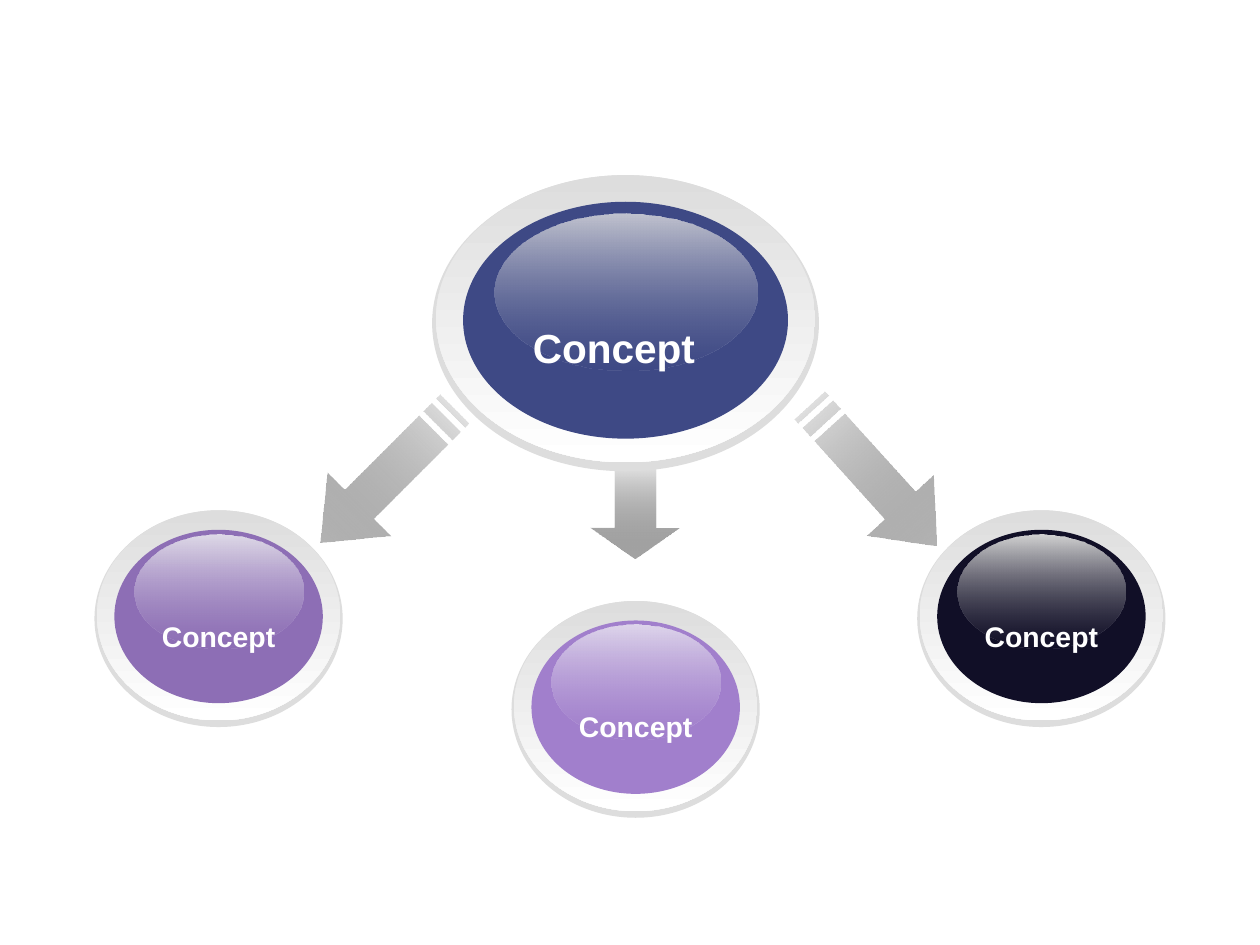
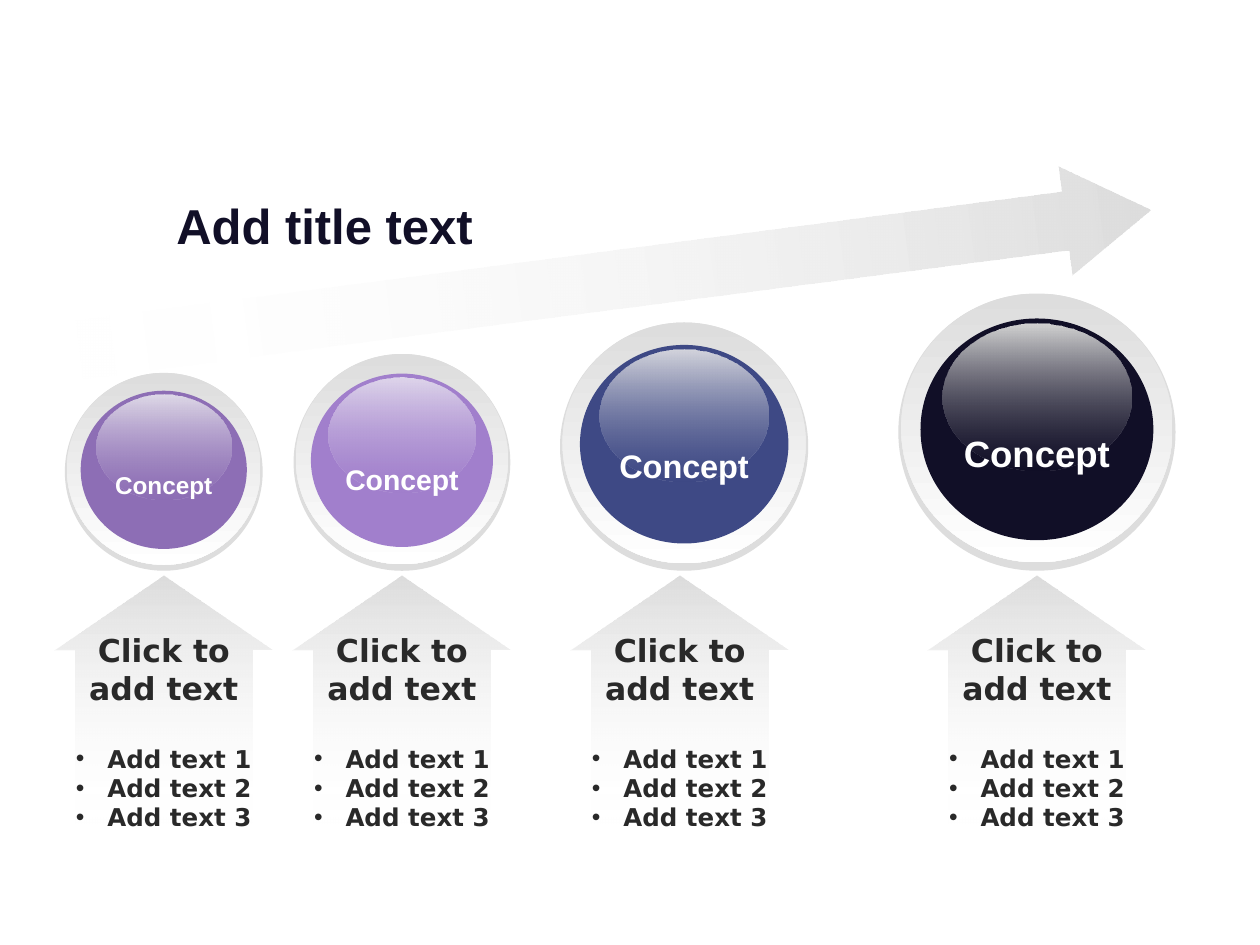
import pptx
import pptx.util
from pptx.dml.color import RGBColor
from pptx.enum.shapes import MSO_SHAPE
from pptx.enum.text import MSO_ANCHOR, MSO_AUTO_SIZE, PP_ALIGN
from pptx.oxml.ns import qn
from lxml import etree

COLORS = {
    "white": "FFFFFF", "rim": "DDDDDD", "text": "292929",
    "purple": "8D6EB5", "purple_gloss": "DFDAE8",
    "lilac": "A17FCC", "lilac_gloss": "DED5EB",
    "navy": "3E4985", "navy_gloss": "D4D5DD", "navy_deep_gloss": "C1C3CF",
    "ink": "110F27", "ink_gloss": "D3D3D3",
}
# The slide is a grid of 100 columns by 75 rows of square cells.
CELL = pptx.util.Inches(0.1)
LABEL_FONT, LIST_FONT = "Arial", "DejaVu Sans"
LAYOUT_COMPARISON, LAYOUT_BLANK = 4, 6
BALL_BOTTOM = 45.3


def cells(*counts):
    return [round(n * CELL) for n in counts]


def rgb(name):
    return RGBColor.from_string(COLORS[name])


def style(sp, fill):
    """Fill with a colour name, or with (start, end, angle, opacities)."""
    sp.shadow.inherit = False
    sp.line.fill.background()
    if isinstance(fill, str):
        sp.fill.solid()
        sp.fill.fore_color.rgb = rgb(fill)
        return
    start, end, angle, opacities = fill
    sp.fill.gradient()
    sp.fill.gradient_angle = angle
    for stop, position, name in zip(sp.fill.gradient_stops, (0, 1), (start, end)):
        stop.position = position
        stop.color.rgb = rgb(name)
    for color, opacity in zip(sp.element.iter(qn("a:srgbClr")), opacities):
        if opacity < 100:
            etree.SubElement(color, qn("a:alpha"), val=str(opacity * 1000))


def write(p, text, size, color, font=LABEL_FONT, align=PP_ALIGN.CENTER,
          baseline=0, before=0, bullet=None):
    p.alignment = align
    p.space_before = pptx.util.Pt(before)
    pPr = p._p.get_or_add_pPr()
    indent = pptx.util.Inches(0.25) if bullet else 0
    pPr.set("marL", str(indent))
    pPr.set("indent", str(-indent))
    if bullet:
        etree.SubElement(pPr, qn("a:buChar"), char=bullet)
    else:
        etree.SubElement(pPr, qn("a:buNone"))
    r = p.add_run()
    r.text = text
    r.font.name, r.font.size, r.font.bold = font, pptx.util.Pt(size), True
    r.font.color.rgb = rgb(color)
    if baseline:
        r._r.get_or_add_rPr().set("baseline", str(baseline * 1000))


def add_ball(s, x, y, w, h, color, size, gloss=None, gloss_top=0.11, label_shift=0):
    """Glossy ball in a pale rim; its layers are shares of the outer box."""
    gloss = (gloss or color) + "_gloss"
    layers = [
        (0, 0, 1, 1, "rim"),
        (0.01, 0, 0.98, 0.97, ("rim", "white", 270, (100, 100))),
        (0.08, 0.09, 0.84, 0.8, color),
        (0.16, gloss_top, 0.68, 0.53, (gloss, color, 270, (100, 37))),
    ]
    for left, top, width, height, fill in layers:
        box = cells(x + left * w, y + top * h, width * w, height * h)
        style(s.shapes.add_shape(MSO_SHAPE.OVAL, *box), fill)
    tf = s.shapes.add_textbox(
        *cells(x + label_shift * w, y + 0.32 * h, w, 0.25 * h)).text_frame
    tf.word_wrap = True
    write(tf.paragraphs[0], "Concept", size, "white", baseline=-25)


def add_striped_arrow(s, x, y, w, h, rotation, fill, head=0.29, shaft=0.46):
    """Right arrow with two stripes at its tail, turned about its centre.

    head is a share of the length, shaft a share of the height.
    """
    top, bottom, neck = (1 - shaft) / 2, (1 + shaft) / 2, 1 - head
    outlines = [
        [(neck, 0), (neck, top), (5 / 32, top), (5 / 32, bottom),
         (neck, bottom), (neck, 1), (1, 0.5)],
    ]
    for start, end in ((2 / 32, 4 / 32), (0, 1 / 32)):
        outlines.append([(start, top), (start, bottom), (end, bottom), (end, top)])
    builder = None
    for outline in outlines:
        first, *rest = [cells(x + u * w, y + v * h) for u, v in outline]
        if builder is None:
            builder = s.shapes.build_freeform(*first, scale=1.0)
        else:
            builder.move_to(*first)
        builder.add_line_segments(rest, close=True)
    sp = builder.convert_to_shape()
    sp.rotation = rotation
    style(sp, fill)


def place(s, holder, *box):
    """Move a placeholder to the front and to its box; return its text frame."""
    s.shapes.element.append(holder.element)
    holder.left, holder.top, holder.width, holder.height = cells(*box)
    tf = holder.text_frame
    tf.word_wrap = True
    tf.auto_size = MSO_AUTO_SIZE.NONE
    tf.vertical_anchor = MSO_ANCHOR.TOP
    return tf


def fill_list(tf):
    write(tf.paragraphs[0], "Click to add text", 18, "text", font=LIST_FONT)
    for n in range(1, 4):
        write(tf.add_paragraph(), f"Add text {n}", 14, "text", font=LIST_FONT,
              before=21 if n == 1 else 0, bullet="•")


def build_hub_slide(prs):
    s = prs.slides.add_slide(prs.slide_layouts[LAYOUT_BLANK])
    grey = ("white", "text", 0, (100, 42))
    for x, y, length, rotation in ((23.2, 34.2, 15, 135), (61.8, 34.2, 15, 47.8),
                                   (46.1, 36.5, 8.6, 90)):
        add_striped_arrow(s, x, y, length, 7.1, rotation, grey)
    add_ball(s, 34.3, 13.9, 30.7, 23.5, "navy", 40, gloss="navy_deep",
             gloss_top=0.13, label_shift=-0.03)
    for x, y, color in ((7.5, 40.5, "purple"), (72.8, 40.5, "ink"),
                        (40.6, 47.7, "lilac")):
        add_ball(s, x, y, 19.7, 17.2, color, 28)


def build_growth_slide(prs):
    s = prs.slides.add_slide(prs.slide_layouts[LAYOUT_COMPARISON])
    title, *lists = list(s.placeholders)
    fade = ("white", "rim", 0, (0, 100))
    # colour, ball centre, arrow centre, ball diameter, label size
    steps = [
        ("purple", 13, 13, 15.7, 24),
        ("lilac", 31.9, 31.9, 17.2, 28),
        ("navy", 54.3, 53.95, 19.7, 32),
        ("ink", 82.3, 82.3, 22, 36),
    ]
    length, breadth = 19.7, 17.3
    add_striped_arrow(s, 5.9, 17.8, 85.8, 8.7, 352.6, fade, head=0.08, shaft=0.54)
    for holder, (color, ball_x, arrow_x, size, points) in zip(lists, steps):
        add_striped_arrow(s, arrow_x - length / 2, 46.9, length, breadth, 270,
                          fade, head=0.3, shaft=0.81)
        fill_list(place(s, holder, arrow_x - breadth / 2, 49.6, breadth, 17))
        add_ball(s, ball_x - size / 2, BALL_BOTTOM - size, size, size, color, points)
    tf = place(s, title, 13, 15, 32.3, 6.7)
    write(tf.paragraphs[0], "Add title text", 28, "ink", align=PP_ALIGN.LEFT)


def main():
    prs = pptx.Presentation()
    prs.slide_width, prs.slide_height = cells(100, 75)
    build_hub_slide(prs)
    build_growth_slide(prs)
    prs.save("out.pptx")


if __name__ == "__main__":
    main()
